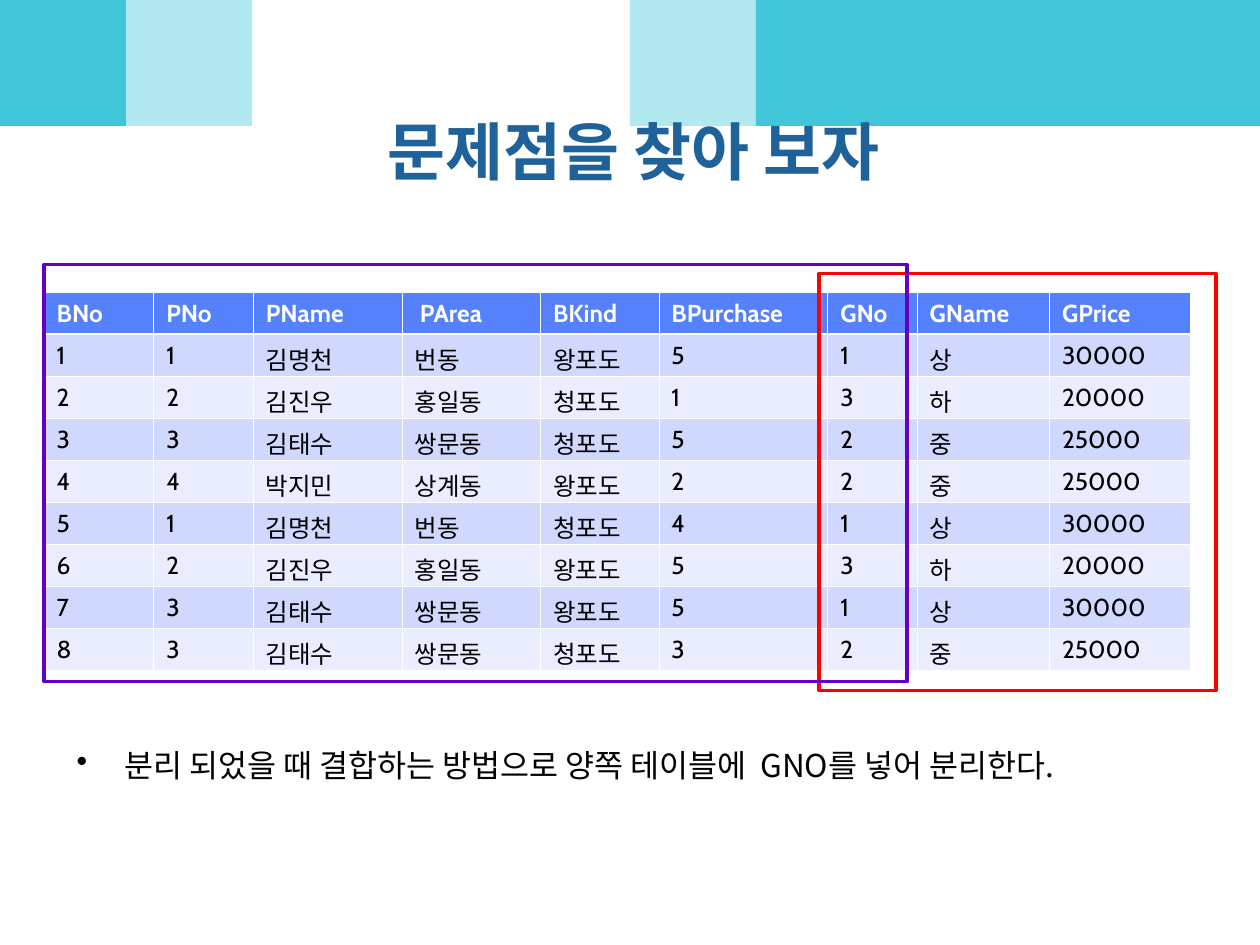
import pptx
import pptx.dml.color
import pptx.enum.shapes
import pptx.enum.text
import pptx.oxml
import pptx.oxml.ns
import pptx.util
from pptx.util import Inches

LATIN, KOREAN = "Cabin", "Noto Sans CJK KR"
WAVE_COLOR = "40C6D8"
BACK_WAVE = ((0, 1.19), [
    ((0.33, 1.05), (1.97, 0.31), (3.96, 0.41)),
    ((5.95, 0.5), (7.62, 1.4), (10, 0.84)),
])
FRONT_WAVE = ((0, 0.7), [
    ((0.45, 0.55), (1.53, 0.33), (3.41, 0.29)),
    ((5.29, 0.25), (8.2, 1.19), (10, 0.5)),
])
COLUMN_WIDTHS = [0.87, 0.79, 1.18, 1.1, 0.94, 1.34, 0.71, 1.05, 1.12]
HEADER = ["BNo", "PNo", "PName", " PArea", "BKind", "BPurchase", "GNo", "GName", "GPrice"]
PEOPLE = {
    "1": ("김명천", "번동"),
    "2": ("김진우", "홍일동"),
    "3": ("김태수", "쌍문동"),
    "4": ("박지민", "상계동"),
}
GRADES = {"1": ("상", "30000"), "2": ("중", "25000"), "3": ("하", "20000")}
PURCHASES = [  # person, kind, amount, grade
    ("1", "왕포도", "5", "1"),
    ("2", "청포도", "1", "3"),
    ("3", "청포도", "5", "2"),
    ("4", "왕포도", "2", "2"),
    ("1", "청포도", "4", "1"),
    ("2", "왕포도", "5", "3"),
    ("3", "왕포도", "5", "1"),
    ("3", "청포도", "3", "2"),
]


def rgb(color):
    return pptx.dml.color.RGBColor.from_string(color)


def add_xml(parent, tag, **attributes):
    child = pptx.oxml.parse_xml(f"<a:{tag} {pptx.oxml.ns.nsdecls('a')}/>")
    for name, value in attributes.items():
        child.set(name, str(value))
    parent.append(child)
    return child


def add_run(p, text, size, color, bold=False, font=LATIN):
    r = p.add_run()
    r.text = text
    r.font.size = pptx.util.Pt(size)
    r.font.bold = bold
    r.font.name = font
    r.font.color.rgb = rgb(color)
    add_xml(r.font._element, "ea", typeface=KOREAN)


def curve_points(start, curves, steps=30):
    """Sample a chain of cubic Bezier curves."""
    points = [start]
    for c1, c2, end in curves:
        for i in range(1, steps + 1):
            t = i / steps
            u = 1 - t
            points.append(tuple(
                u**3 * a + 3 * u * u * t * b + 3 * u * t * t * c + t**3 * d
                for a, b, c, d in zip(start, c1, c2, end)))
        start = end
    return points


def add_wave(s, start, curves, alpha=None):
    """Fill the area between the slide's top edge and a curve."""
    builder = s.shapes.build_freeform(0, 0, scale=Inches(1))
    builder.add_line_segments(curve_points(start, curves) + [(10, 0)])
    sp = builder.convert_to_shape()
    sp.shadow.inherit = False
    sp.line.fill.background()
    sp.fill.solid()
    sp.fill.fore_color.rgb = rgb(WAVE_COLOR)
    if alpha is not None:
        color = sp._element.spPr.find(".//" + pptx.oxml.ns.qn("a:srgbClr"))
        add_xml(color, "alpha", val=alpha * 1000)


def add_border(cell, side, width):
    line = add_xml(cell._tc.get_or_add_tcPr(), side, w=pptx.util.Pt(width))
    add_xml(add_xml(line, "solidFill"), "srgbClr", val="FFFFFF")


def fill_cell(cell, text, row):
    is_header = row == 0
    cell.margin_left = cell.margin_right = Inches(0.1)
    cell.margin_top, cell.margin_bottom = Inches(0.05), 0
    widths = {"lnL": 0.45, "lnR": 0.45,
              "lnT": 1.47 if row == 1 else 0.45,
              "lnB": 1.47 if is_header else 0.45}
    for side, width in widths.items():
        add_border(cell, side, width)
    cell.fill.solid()
    cell.fill.fore_color.rgb = rgb(
        "5581FD" if is_header else "D1D8FE" if row % 2 else "E9EDFF")
    add_run(cell.text_frame.paragraphs[0], text, 14,
            "FFFFFF" if is_header else "000000", bold=is_header)


def add_purchase_table(s):
    rows = [HEADER]
    for number, (person, kind, amount, grade) in enumerate(PURCHASES, 1):
        rows.append([str(number), person, *PEOPLE[person], kind, amount,
                     grade, *GRADES[grade]])
    table = s.shapes.add_table(len(rows), len(HEADER), Inches(0.35), Inches(2.32),
                               Inches(sum(COLUMN_WIDTHS)), Inches(3)).table
    for column, width in zip(table.columns, COLUMN_WIDTHS):
        column.width = Inches(width)
    for i, row in enumerate(rows):
        for j, text in enumerate(row):
            fill_cell(table.cell(i, j), text, i)


def add_frame(s, left, top, width, height, color):
    sp = s.shapes.add_shape(pptx.enum.shapes.MSO_SHAPE.RECTANGLE, Inches(left),
                            Inches(top), Inches(width), Inches(height))
    sp.shadow.inherit = False
    sp.fill.background()
    sp.line.color.rgb = rgb(color)
    sp.line.width = pptx.util.Pt(2)


def add_text_frame(s, left, top, width, height):
    tf = s.shapes.add_textbox(Inches(left), Inches(top),
                              Inches(width), Inches(height)).text_frame
    tf.word_wrap = True
    return tf


def add_title(s, text):
    tf = add_text_frame(s, 0.53, 0.89, 9, 1.25)
    tf.margin_top = 0
    p = tf.paragraphs[0]
    p.alignment = pptx.enum.text.PP_ALIGN.CENTER
    add_run(p, text, 36, "1F6299", bold=True)


def add_bullet(s, text):
    p = add_text_frame(s, 0.51, 5.87, 8.8, 0.4).paragraphs[0]
    pPr = p._p.get_or_add_pPr()
    pPr.set("marL", str(Inches(0.38)))
    pPr.set("indent", str(Inches(-0.38)))
    add_xml(add_xml(pPr, "buClr"), "srgbClr", val="000000")
    add_xml(pPr, "buChar", char="•")
    add_run(p, text, 18, "000000", font=KOREAN)


def main():
    prs = pptx.Presentation()
    prs.slide_width, prs.slide_height = Inches(10), Inches(7.5)
    s = prs.slides.add_slide(prs.slide_layouts[6])
    add_wave(s, *BACK_WAVE, alpha=40)
    add_wave(s, *FRONT_WAVE)
    add_purchase_table(s)
    add_title(s, "문제점을 찾아 보자")
    add_frame(s, 6.5, 2.17, 3.15, 3.31, "FF0000")
    add_frame(s, 0.35, 2.1, 6.85, 3.31, "6200C4")
    add_bullet(s, "분리 되었을 때 결합하는 방법으로 양쪽 테이블에  GNO를 넣어 분리한다.")
    prs.save("out.pptx")


if __name__ == "__main__":
    main()
